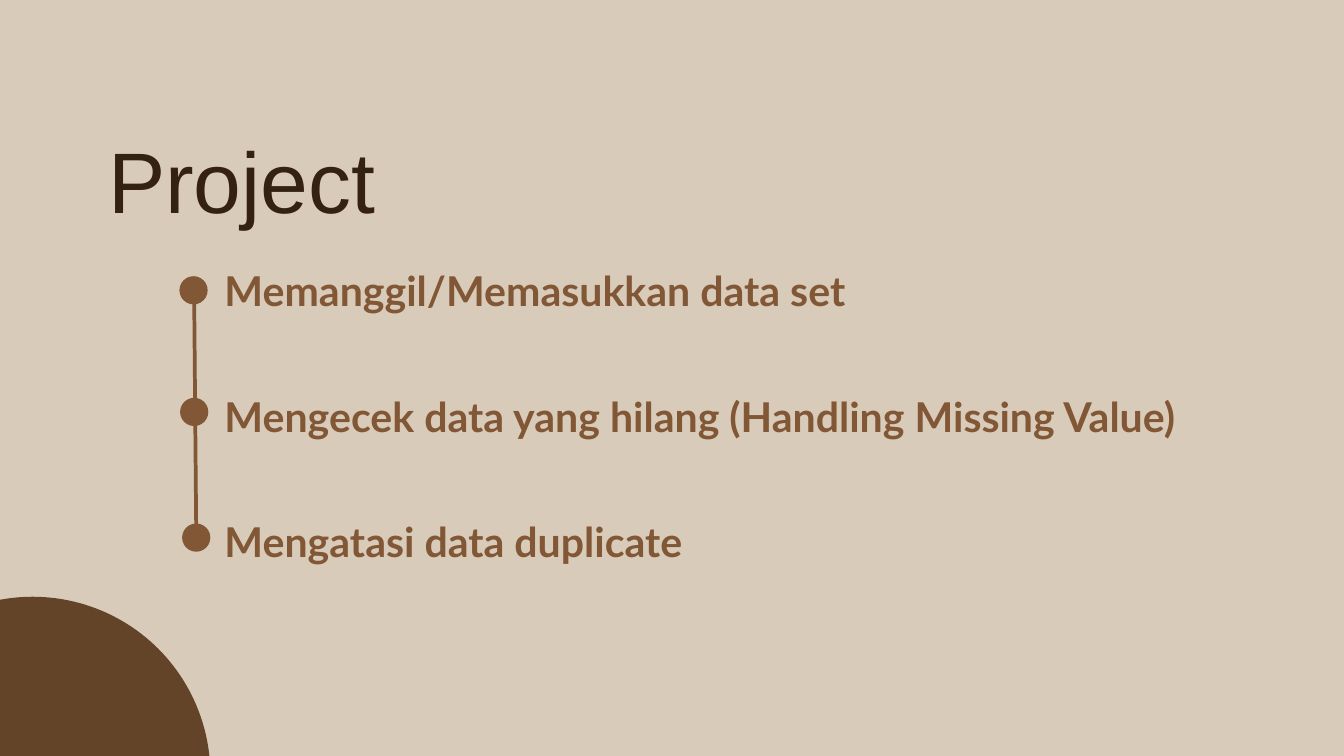
"""Build the project steps slide."""
import pptx
import pptx.dml.color
import pptx.enum.shapes
import pptx.enum.text
import pptx.oxml.ns
import pptx.util
from lxml import etree

COLUMNS, ROWS = 20, 11.25
CELL = pptx.util.Inches(1)
SAND, COCOA, BROWN, ESPRESSO = "D9CBBA", "634429", "815736", "352111"
STEPS = [
    "Memanggil/Memasukkan data set",
    "Mengecek data yang hilang (Handling Missing Value)",
    "Mengatasi data duplicate",
]
STEP_PITCH = 1.87
STEP_LINE = 61.6
DOT_SIZE = 0.42
DOT_CORNERS = [(2.67, 4.11), (2.68, 5.92), (2.71, 7.79)]


def grid(*cells):
    """Turn columns or rows of the grid into slide lengths."""
    return [round(cell * CELL) for cell in cells]


def color(value):
    """Turn a hex string into a colour."""
    return pptx.dml.color.RGBColor.from_string(value)


def add_circle(slide, left, top, size, fill):
    """Add a plain filled circle."""
    shape = slide.shapes.add_shape(
        pptx.enum.shapes.MSO_SHAPE.OVAL, *grid(left, top, size, size))
    shape.shadow.inherit = False
    shape.fill.solid()
    shape.fill.fore_color.rgb = color(fill)
    shape.line.fill.background()


def add_line(slide, start, end, width, fill):
    """Add a straight line without a shadow."""
    connector = slide.shapes.add_connector(
        pptx.enum.shapes.MSO_CONNECTOR.STRAIGHT, *grid(*start, *end))
    connector.line.color.rgb = color(fill)
    connector.line.width = pptx.util.Pt(width)
    properties = connector._element.spPr
    etree.SubElement(properties, pptx.oxml.ns.qn("a:effectLst"))


def place(placeholder, left, top, width, height):
    """Move a placeholder and clear its margins and fitting."""
    placeholder.left, placeholder.top, placeholder.width, placeholder.height = grid(
        left, top, width, height)
    frame = placeholder.text_frame
    frame.margin_left = frame.margin_top = frame.margin_right = frame.margin_bottom = 0
    frame.word_wrap = True
    frame.auto_size = pptx.enum.text.MSO_AUTO_SIZE.NONE
    frame.vertical_anchor = pptx.enum.text.MSO_ANCHOR.TOP
    return frame


def write(paragraph, text, font, size, fill, line, before=0, bold=False):
    """Write one left-aligned run without a bullet."""
    properties = paragraph._p.get_or_add_pPr()
    properties.set("marL", "0")
    properties.set("indent", "0")
    etree.SubElement(properties, pptx.oxml.ns.qn("a:buNone"))
    paragraph.alignment = pptx.enum.text.PP_ALIGN.LEFT
    paragraph.line_spacing = pptx.util.Pt(line)
    paragraph.space_before = pptx.util.Pt(before)
    run = paragraph.add_run()
    run.text = text
    run.font.name = font
    run.font.size = pptx.util.Pt(size)
    run.font.bold = bold
    run.font.color.rgb = color(fill)


def add_steps(slide):
    """Fill the body placeholder with evenly spaced steps."""
    frame = place(slide.placeholders[1], 3.34, 3.83, 15.53, 4.57)
    gap = STEP_PITCH * 72 - STEP_LINE
    for index, step in enumerate(STEPS):
        paragraph = frame.add_paragraph() if index else frame.paragraphs[0]
        write(paragraph, step, "Lato", 44, BROWN, STEP_LINE,
              before=gap if index else 0, bold=True)


def add_timeline(slide):
    """Add the line and its dots beside the steps."""
    add_line(slide, (2.92, 7.89), (2.89, 4.46), 4, BROWN)
    for left, top in DOT_CORNERS:
        add_circle(slide, left, top, DOT_SIZE, BROWN)


def main():
    """Build and save the presentation."""
    presentation = pptx.Presentation()
    presentation.slide_width, presentation.slide_height = grid(COLUMNS, ROWS)
    slide = presentation.slides.add_slide(presentation.slide_layouts[1])
    slide.background.fill.solid()
    slide.background.fill.fore_color.rgb = color(SAND)
    add_circle(slide, -2.16, 8.88, 5.29, COCOA)
    title = place(slide.shapes.title, 1.61, 1.64, 6.71, 1.81)
    write(title.paragraphs[0], "Project", "Arial", 92, ESPRESSO, 128.8)
    add_steps(slide)
    add_timeline(slide)
    presentation.save("out.pptx")


if __name__ == "__main__":
    main()
